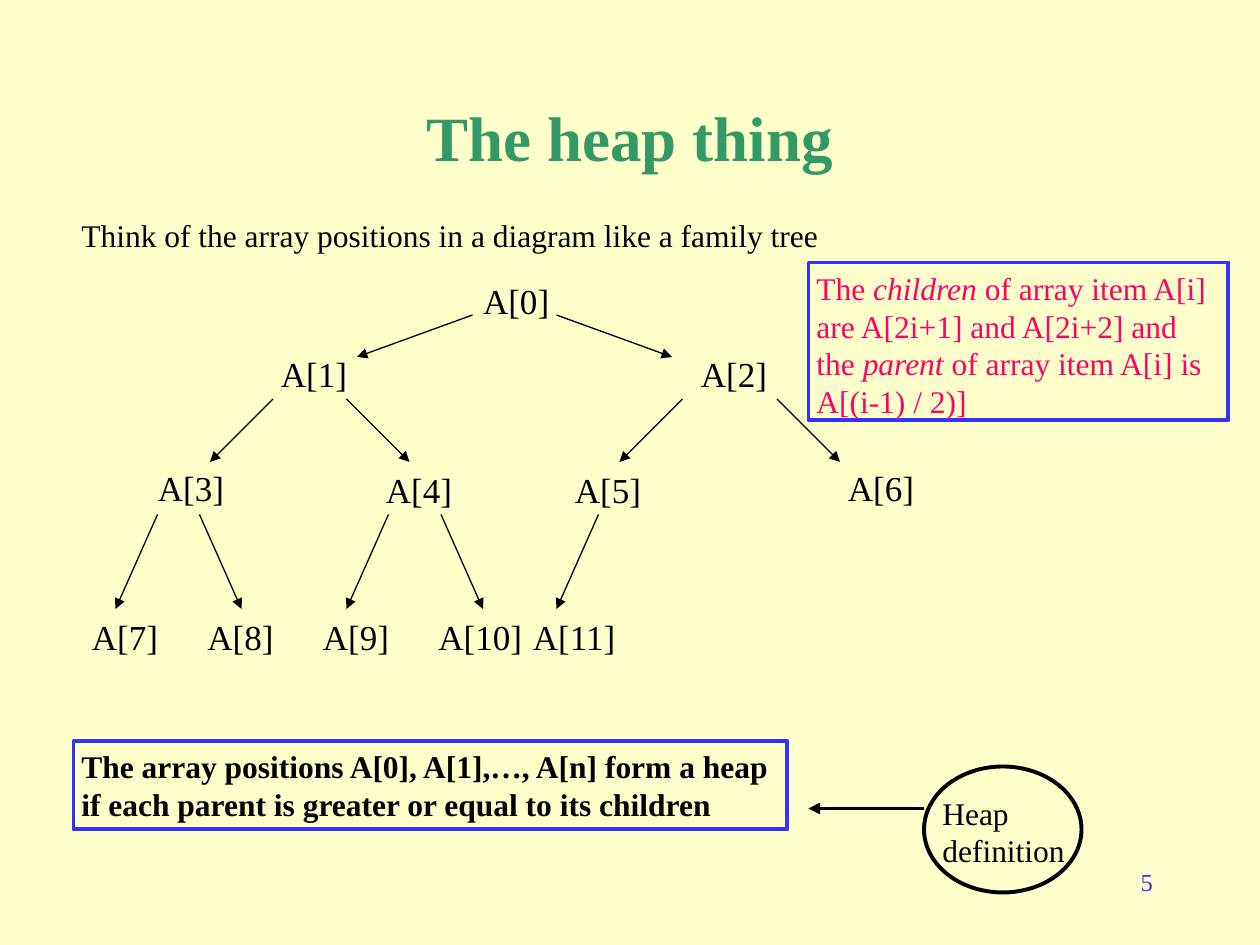
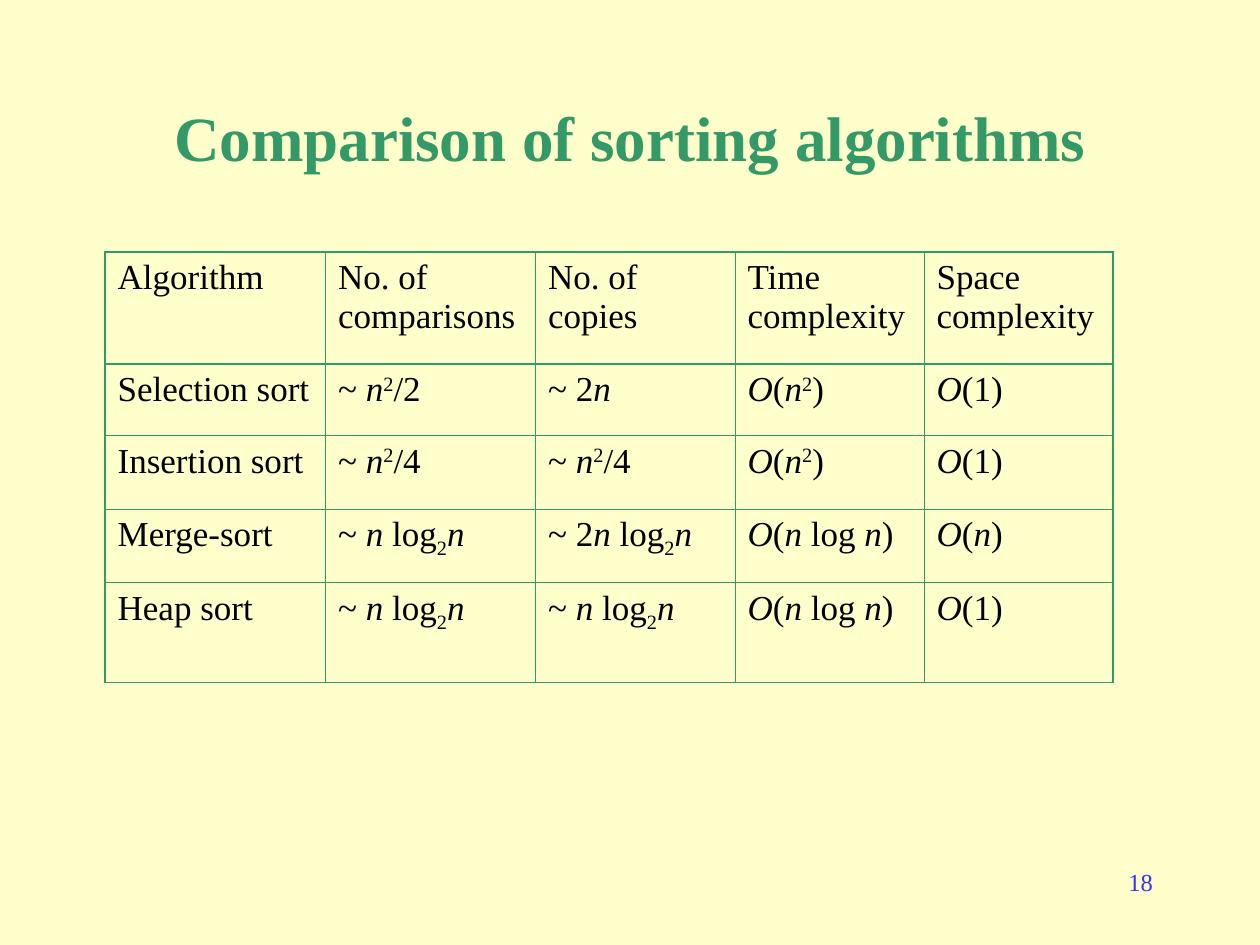
from dataclasses import dataclass
from typing import NamedTuple

from lxml import etree
from pptx import Presentation
from pptx.dml.color import RGBColor
from pptx.enum.shapes import MSO_CONNECTOR, MSO_SHAPE
from pptx.enum.text import MSO_ANCHOR, MSO_AUTO_SIZE, PP_ALIGN
from pptx.oxml.ns import qn
from pptx.util import Pt

LEFT, CENTER, RIGHT = PP_ALIGN.LEFT, PP_ALIGN.CENTER, PP_ALIGN.RIGHT
TOP, MIDDLE = MSO_ANCHOR.TOP, MSO_ANCHOR.MIDDLE
NO_AUTOFIT = MSO_AUTO_SIZE.NONE
STRAIGHT = MSO_CONNECTOR.STRAIGHT
RECTANGLE, OVAL = MSO_SHAPE.RECTANGLE, MSO_SHAPE.OVAL

FONT = "Times New Roman"
CREAM, GREEN, BLUE, PINK, BLACK = "FFFFCC", "339966", "3333FF", "FF0066", "000000"
THIN, BOLD_LINE = 0.75, 2.25
CELL_INNER, CELL_OUTER = 0.45, 1.08
TITLE_ONLY = 5


class Box(NamedTuple):
    left: float
    top: float
    width: float
    height: float

    def lengths(self) -> list[Pt]:
        return [Pt(v) for v in self]


class Run(NamedTuple):
    text: str
    italic: bool = False
    baseline: int = 0


@dataclass(frozen=True)
class Style:
    size: float
    color: str = BLACK
    bold: bool = False
    align: PP_ALIGN = LEFT


@dataclass(frozen=True)
class Node:
    """A tree label; arrows to its children start at the given x positions."""
    left: float
    top: float
    arrow_left: float | None = None
    arrow_right: float | None = None


class ArrowRow(NamedTuple):
    """Start and end height, and sideways run, of the arrows below one level."""
    top: float
    bottom: float
    run: float


TITLE = Style(36, GREEN, bold=True, align=CENTER)
PAGE_NUMBER = Style(14, BLUE, align=RIGHT)
BODY = Style(18)
NOTE = Style(18, PINK)
DEFINITION = Style(18, bold=True)
LABEL = Style(20)

TITLE_BOX = Box(54, 48, 612, 60)
PAGE_BOX = Box(516, 492, 150, 36)

# Index in this list is the position in the array
NODES = [
    Node(271.5, 156, 270, 318),
    Node(156, 198, 156, 198),
    Node(396, 198, 390, 444),
    Node(85.75, 263, 90, 114),
    Node(216, 264, 222, 252),
    Node(324, 264, 342),
    Node(480, 263),
    Node(48, 348),
    Node(114, 348),
    Node(180, 348),
    Node(246, 348),
    Node(300, 348),
]
ARROW_ROWS = [ArrowRow(180, 204, 66), ArrowRow(228, 264, 36), ArrowRow(294, 348, 24)]

CHILDREN_NOTE = [
    Run("The "), Run("children", italic=True),
    Run(" of array item A[i] are A[2i+1] and A[2i+2] and the "),
    Run("parent", italic=True), Run(" of array item A[i] is A[(i-1) / 2)]"),
]

N, BIG_O = Run("n", italic=True), Run("O", italic=True)
SQUARED, BASE_2 = Run("2", baseline=30000), Run("2", baseline=-25000)
OPEN, CLOSE, ABOUT, ABOUT_2 = Run("("), Run(")"), Run("~ "), Run("~ 2")
N_LOG2_N = [N, Run(" log"), BASE_2, N]
O_SQUARE = [BIG_O, OPEN, N, SQUARED, CLOSE]
O_N_LOG_N = [BIG_O, OPEN, N, Run(" log "), N, CLOSE]
O_N = [BIG_O, OPEN, N, CLOSE]
O_1 = [BIG_O, Run("(1)")]

TABLE_LEFT, TABLE_TOP = 60, 144
COLUMN_WIDTHS = [126, 120, 114, 108, 108]
ROW_HEIGHTS = [64, 41, 42, 42, 57]
TABLE_ROWS = [
    [[Run(t)] for t in ("Algorithm", "No. of comparisons", "No. of copies",
                        "Time complexity", "Space complexity")],
    [[Run("Selection sort")], [ABOUT, N, SQUARED, Run("/2")], [ABOUT_2, N], O_SQUARE, O_1],
    [[Run("Insertion sort")], *[[ABOUT, N, SQUARED, Run("/4")]] * 2, O_SQUARE, O_1],
    [[Run("Merge-sort")], [ABOUT, *N_LOG2_N], [ABOUT_2, *N_LOG2_N], O_N_LOG_N, O_N],
    [[Run("Heap sort")], *[[ABOUT, *N_LOG2_N]] * 2, O_N_LOG_N, O_1],
]


def rgb(color: str) -> RGBColor:
    return RGBColor.from_string(color)


def write(tf, runs: list[Run], style: Style) -> None:
    p = tf.paragraphs[0]
    p.alignment = style.align
    for run in runs:
        r = p.add_run()
        r.text = run.text
        r.font.name = FONT
        r.font.size = Pt(style.size)
        r.font.bold = style.bold
        r.font.italic = run.italic
        r.font.color.rgb = rgb(style.color)
        if run.baseline:
            r._r.get_or_add_rPr().set("baseline", str(run.baseline))


def fit_frame(tf, side_margin: float, wrap: bool = True, anchor: MSO_ANCHOR = TOP) -> None:
    tf.auto_size = NO_AUTOFIT
    tf.word_wrap = wrap
    tf.vertical_anchor = anchor
    tf.margin_left = tf.margin_right = Pt(side_margin)
    tf.margin_top = tf.margin_bottom = Pt(3.6)


def add_text(slide, box: Box, runs: list[Run], style: Style,
             side_margin: float = 4.5, wrap: bool = True) -> None:
    tf = slide.shapes.add_textbox(*box.lengths()).text_frame
    fit_frame(tf, side_margin, wrap)
    write(tf, runs, style)


def add_outline(slide, kind: MSO_SHAPE, box: Box, color: str):
    """Add an unfilled shape with a heavy line."""
    sp = slide.shapes.add_shape(kind, *box.lengths())
    sp.shadow.inherit = False
    sp.fill.background()
    sp.line.color.rgb = rgb(color)
    sp.line.width = Pt(BOLD_LINE)
    return sp


def add_framed_text(slide, box: Box, runs: list[Run], style: Style) -> None:
    tf = add_outline(slide, RECTANGLE, box, BLUE).text_frame
    fit_frame(tf, 4.5)
    write(tf, runs, style)


def add_arrow(slide, x1: float, y1: float, x2: float, y2: float, width: float) -> None:
    line = slide.shapes.add_connector(STRAIGHT, Pt(x1), Pt(y1), Pt(x2), Pt(y2))
    line.line.color.rgb = rgb(BLACK)
    line.line.width = Pt(width)
    etree.SubElement(line.line._get_or_add_ln(), qn("a:tailEnd"), type="triangle")
    etree.SubElement(line._element.spPr, qn("a:effectLst"))


def add_slide(prs, title: str, number: int):
    slide = prs.slides.add_slide(prs.slide_layouts[TITLE_ONLY])
    sp = slide.shapes.title
    sp.left, sp.top, sp.width, sp.height = TITLE_BOX.lengths()
    fit_frame(sp.text_frame, 7.2, anchor=MIDDLE)
    write(sp.text_frame, [Run(title)], TITLE)
    add_text(slide, PAGE_BOX, [Run(str(number))], PAGE_NUMBER, side_margin=7.2)
    return slide


def draw_tree(slide) -> None:
    for i, node in enumerate(NODES):
        label = f"A[{i}]"
        width = 46 if i < 10 else 56
        add_text(slide, Box(node.left, node.top, width, 31.75), [Run(label)], LABEL, wrap=False)
        for x, direction in ((node.arrow_left, -1), (node.arrow_right, 1)):
            if x is not None:
                row = ARROW_ROWS[(i + 1).bit_length() - 1]
                add_arrow(slide, x, row.top, x + direction * row.run, row.bottom, THIN)


def set_borders(cell, widths: dict[str, float]) -> None:
    tc_pr = cell._tc.get_or_add_tcPr()
    for side, width in widths.items():
        ln = etree.SubElement(tc_pr, qn(f"a:ln{side}"), w=str(int(Pt(width))))
        fill = etree.SubElement(ln, qn("a:solidFill"))
        etree.SubElement(fill, qn("a:srgbClr"), val=GREEN)


def add_comparison_table(slide) -> None:
    rows, cols = len(ROW_HEIGHTS), len(COLUMN_WIDTHS)
    box = Box(TABLE_LEFT, TABLE_TOP, sum(COLUMN_WIDTHS), sum(ROW_HEIGHTS))
    table = slide.shapes.add_table(rows, cols, *box.lengths()).table
    table.first_row = table.horz_banding = False
    for column, width in zip(table.columns, COLUMN_WIDTHS):
        column.width = Pt(width)
    for i, (row, height) in enumerate(zip(table.rows, ROW_HEIGHTS)):
        row.height = Pt(height)
        for j, cell in enumerate(row.cells):
            heavy = {"L": j == 0, "R": j == cols - 1, "T": i <= 1, "B": i in (0, rows - 1)}
            set_borders(cell, {s: CELL_OUTER if h else CELL_INNER for s, h in heavy.items()})
            cell.fill.background()
            write(cell.text_frame, TABLE_ROWS[i][j], LABEL)


def build_heap_slide(prs) -> None:
    slide = add_slide(prs, "The heap thing", 5)
    intro = "Think of the array positions in a diagram like a family tree"
    add_text(slide, Box(42, 120, 432, 29), [Run(intro)], BODY)
    draw_tree(slide)
    add_framed_text(slide, Box(462, 150, 240, 90), CHILDREN_NOTE, NOTE)
    definition = ("The array positions A[0], A[1],…, A[n] form a heap "
                  "if each parent is greater or equal to its children")
    add_framed_text(slide, Box(42, 423.5, 408, 50.5), [Run(definition)], DEFINITION)
    add_text(slide, Box(534, 450, 90, 50.5), [Run("Heap definition")], BODY)
    add_outline(slide, OVAL, Box(528, 438, 90, 72), BLACK)
    add_arrow(slide, 528, 462, 462, 462, BOLD_LINE)


def build_comparison_slide(prs) -> None:
    slide = add_slide(prs, "Comparison of sorting algorithms", 18)
    add_comparison_table(slide)


def main() -> None:
    prs = Presentation()
    prs.slide_width, prs.slide_height = Pt(720), Pt(540)
    background = prs.slide_master.background.fill
    background.solid()
    background.fore_color.rgb = rgb(CREAM)
    build_heap_slide(prs)
    build_comparison_slide(prs)
    prs.save("out.pptx")


if __name__ == "__main__":
    main()
